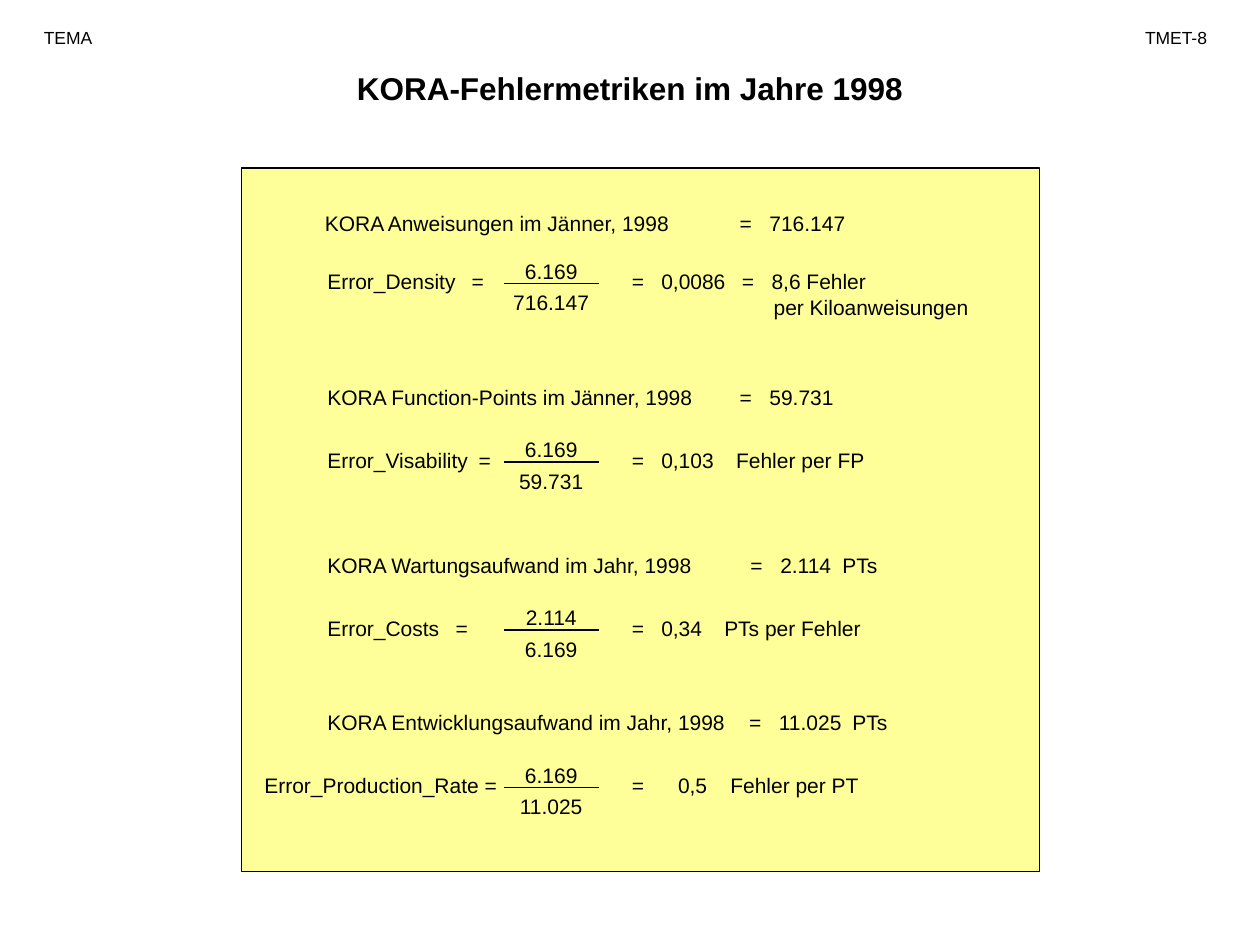
from lxml.etree import SubElement
from pptx import Presentation
from pptx.dml.color import RGBColor as RGB
from pptx.enum.shapes import MSO_CONNECTOR as LINK, MSO_SHAPE as SHAPE
from pptx.enum.text import MSO_ANCHOR as ANCHOR, MSO_AUTO_SIZE as FIT, PP_ALIGN as ALIGN
from pptx.oxml.ns import qn
from pptx.util import Pt

COLORS = {"ink": "000000", "panel": "FFFF99"}
FONT = "Arial"
PAD = 7.2  # side inset of every text box


class Page:
    """Holds the style and the current slide; all lengths are in points."""

    def __init__(self, deck):
        self.slide = deck.slides.add_slide(deck.slide_layouts[5])
        self.shapes = self.slide.shapes

    def color(self, name):
        return RGB.from_string(COLORS[name])

    def fill(self, frame, lines, size=12, bold=False, align=ALIGN.LEFT, stops=()):
        """Write lines into a frame; stops are tab offsets from the text edge."""
        frame.word_wrap = True
        frame.vertical_anchor = ANCHOR.TOP
        for i, line in enumerate(lines):
            para = frame.add_paragraph() if i else frame.paragraphs[0]
            para.alignment = align
            if stops:
                tabs = SubElement(para._p.get_or_add_pPr(), qn("a:tabLst"))
                for stop in stops:
                    SubElement(tabs, qn("a:tab"), pos=str(int(Pt(stop))), algn="l")
            run = para.add_run()
            run.text = line
            font = run.font
            font.name, font.size, font.bold = FONT, Pt(size), bold
            font.color.rgb = self.color("ink")

    def title(self, text, x, y, w, h):
        box = self.shapes.title
        box.left, box.top, box.width, box.height = Pt(x), Pt(y), Pt(w), Pt(h)
        self.fill(box.text_frame, [text], 18, True, ALIGN.CENTER)
        box.text_frame.auto_size = FIT.NONE

    def text(self, lines, x, y, w, size=12, align=ALIGN.LEFT, stops=()):
        """Add a text box; stops are tab positions on the slide."""
        high = 7.2 + 1.2 * size * len(lines)
        box = self.shapes.add_textbox(Pt(x), Pt(y), Pt(w), Pt(high))
        self.fill(box.text_frame, lines, size, False, align,
                  [stop - x - PAD for stop in stops])
        box.text_frame.auto_size = FIT.SHAPE_TO_FIT_TEXT

    def panel(self, x, y, w, h):
        box = self.shapes.add_shape(SHAPE.RECTANGLE, Pt(x), Pt(y), Pt(w), Pt(h))
        box.shadow.inherit = False
        box.fill.solid()
        box.fill.fore_color.rgb = self.color("panel")
        box.line.color.rgb = self.color("ink")
        box.line.width = Pt(0.75)

    def bar(self, x, y, w):
        line = self.shapes.add_connector(LINK.STRAIGHT, Pt(x), Pt(y), Pt(x + w), Pt(y))
        line.line.color.rgb = self.color("ink")
        line.line.width = Pt(0.75)
        SubElement(line._element.spPr, qn("a:effectLst"))

    def ratio(self, top, base, x, y):
        """Draw a fraction whose bar starts at x, y."""
        self.text([top], x, y - 18, 54, align=ALIGN.CENTER)
        self.bar(x, y, 54)
        self.text([base], x - 6, y, 66, align=ALIGN.CENTER)


# Input line: text, x, y, tab stops
INPUTS = [
    ("KORA Anweisungen im Jänner, 1998\t=\t716.147", 178.6, 116.6, (422.8, 439.8)),
    ("KORA Function-Points im Jänner, 1998\t=\t59.731", 180, 216, (422.8, 439.8)),
    ("KORA Wartungsaufwand im Jahr, 1998\t=\t2.114\tPTs", 180, 312, (429, 446, 481.5)),
    ("KORA Entwicklungsaufwand im Jahr, 1998\t=\t11.025\tPTs", 180, 402, (428.2, 445.2, 487.2)),
]

# Metric: y, label, x, label stops, numerator, denominator, result lines, result stops
METRICS = [
    (150, "Error_Density\t=", 180, (269.6,), "6.169", "716.147",
     ["=\t0,0086\t=\t8,6 Fehler", "\tper Kiloanweisungen"], (378, 424, 441)),
    (252, "Error_Visability\t=", 180, (273.6,), "6.169", "59.731",
     ["=\t0,103\tFehler per FP"], (378, 420.8)),
    (348, "Error_Costs\t=", 180, (260.5,), "2.114", "6.169",
     ["=\t0,34\tPTs per Fehler"], (378, 414)),
    (438, "Error_Production_Rate =", 144, (), "6.169", "11.025",
     ["=\t0,5\tFehler per PT"], (387.6, 417.5)),
]


def main():
    deck = Presentation()
    deck.slide_width, deck.slide_height = Pt(720), Pt(540)
    page = Page(deck)
    page.title("KORA-Fehlermetriken im Jahre 1998", 144, 36, 432, 29)
    page.text(["TEMA"], 18, 12, 66, 10)
    page.text(["TMET-8"], 642, 12, 60, 10, ALIGN.CENTER)
    page.panel(138, 96, 456, 402)

    for line, x, y, stops in INPUTS:
        page.text([line], x, y, 360, stops=stops)

    for y, label, x, marks, top, base, result, stops in METRICS:
        page.text([label], x, y, 294 - x, stops=marks)
        page.ratio(top, base, 288, y + 12)
        if len(result) > 1:
            first, second = result
            page.text([first], 354, y, 220, stops=stops)
            page.text([second.strip()], 435, y + 14.7, 130)
        else:
            page.text(result, 354, y, 180, stops=stops)

    deck.save("out.pptx")


if __name__ == "__main__":
    main()
